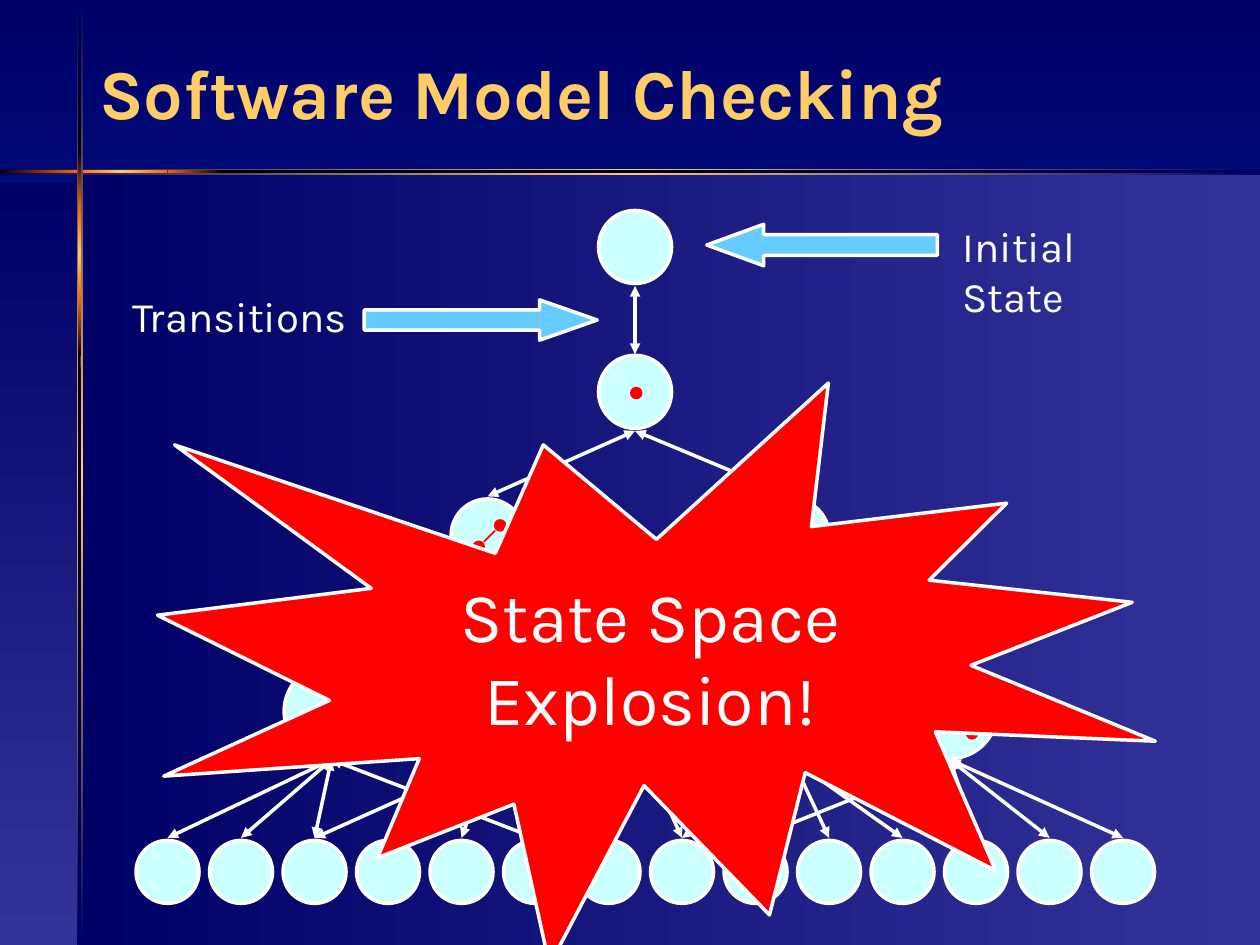
from copy import deepcopy

from lxml import etree
from pptx import Presentation
from pptx.dml.color import RGBColor
from pptx.enum.shapes import MSO_CONNECTOR, MSO_SHAPE
from pptx.enum.text import MSO_ANCHOR, PP_ALIGN
from pptx.oxml.ns import qn
from pptx.util import Inches, Pt

OVAL, RECT = MSO_SHAPE.OVAL, MSO_SHAPE.RECTANGLE
LEFT_ARROW, RIGHT_ARROW = MSO_SHAPE.LEFT_ARROW, MSO_SHAPE.RIGHT_ARROW
BURST = MSO_SHAPE.EXPLOSION1
STRAIGHT = MSO_CONNECTOR.STRAIGHT
LEFT, CENTER = PP_ALIGN.LEFT, PP_ALIGN.CENTER
TOP, MIDDLE = MSO_ANCHOR.TOP, MSO_ANCHOR.MIDDLE

FONT = "Karla"
COLORS = {
    "navy": "000066", "blue": "0033CC", "indigo": "333399", "black": "000000",
    "orange": "FF6600", "gold": "FFCC66", "white": "FFFFFF",
    "state": "CCFFFF", "red": "FF0000", "arrow": "66CCFF",
}
ACROSS, DOWN = 180, 270  # right to left, top to bottom
DOT = 0.1

# left, top, width, height, direction, gradient colours
BACKDROP = [
    (0.62, 1.36, 9.38, 6.14, ACROSS, ("indigo", "navy")),
    (0, 1.45, 0.62, 6.05, DOWN, ("navy", "indigo")),
    (0, 1.34, 10, 0.05, ACROSS, ("navy", "gold", "navy")),
    (1.33, 1.35, 0.44, 0.02, ACROSS, ("black", "orange")),
    (0, 1.35, 0.61, 0.02, ACROSS, ("orange", "black")),
    (1.77, 1.35, 8.23, 0.02, ACROSS, ("navy", "black")),
    (0.6, 1.35, 0.73, 0.02, ACROSS, ("orange", "gold", "orange")),
    (0.61, 0, 0.05, 7.5, DOWN, ("navy", "gold", "navy")),
    (0.62, 1.65, 0.02, 0.73, DOWN, ("orange", "gold", "orange")),
    (0.62, 0.01, 0.02, 1.21, DOWN, ("navy", "black")),
    (0.62, 2.82, 0.02, 4.68, DOWN, ("black", "navy")),
    (0.62, 2.38, 0.02, 0.44, DOWN, ("orange", "black")),
    (0.62, 1.21, 0.02, 0.44, DOWN, ("black", "orange")),
]

# Centre of each state, then its chain of dots as offsets from its corner
ROOT_X = 5.04
MIDDLE_STATES = [
    (3.87, [(0.17, 0.33), (0.34, 0.16)]),
    (6.29, [(0.32, 0.33), (0.17, 0.16)]),
]
LOWER_STATES = [
    (2.63, [(0.5, 0.17), (0.33, 0.33), (0.17, 0.5)]),
    (3.88, [(0.42, 0.17), (0.17, 0.33), (0.32, 0.5)]),
    (5.13, [(0.17, 0.33), (0.33, 0.17), (0.48, 0.33)]),
    (6.29, [(0.25, 0.17), (0.48, 0.33), (0.31, 0.5)]),
    (7.54, [(0.16, 0.17), (0.33, 0.33), (0.5, 0.5)]),
]
LEAF_XS = [1.33 + 7 / 12 * i for i in range(14)]
LOWER_OF_MIDDLE = [(0, 1, 2), (2, 3, 4)]
LEAVES_OF_LOWER = [(0, 1, 2, 5), (2, 3, 4, 6), (5, 6, 7, 8), (7, 9, 10, 11), (8, 11, 12, 13)]


def rgb(name):
    return RGBColor.from_string(COLORS[name])


def paint_gradient(fill, angle, names):
    """Spread the named colours evenly along the given angle."""
    fill.gradient()
    fill.gradient_angle = angle
    first = fill.gradient_stops[0]._gs
    for _ in names[2:]:
        first.addnext(deepcopy(first))
    for i, (stop, name) in enumerate(zip(fill.gradient_stops, names)):
        stop.color.rgb = rgb(name)
        stop.position = i / (len(names) - 1)


def add_figure(slide, preset, left, top, width, height, fill=None, outlined=True):
    figure = slide.shapes.add_shape(
        preset, Inches(left), Inches(top), Inches(width), Inches(height))
    figure.shadow.inherit = False
    if fill:
        figure.fill.solid()
        figure.fill.fore_color.rgb = rgb(fill)
    if outlined:
        figure.line.color.rgb = rgb("white")
        figure.line.width = Pt(2)
    else:
        figure.line.fill.background()
    return figure


def add_line(slide, start, end, color="white", width=2, heads=True):
    line = slide.shapes.add_connector(
        STRAIGHT, *(Inches(value) for value in (*start, *end)))
    line.line.color.rgb = rgb(color)
    line.line.width = Pt(width)
    if heads:
        ln = line.line._get_or_add_ln()
        for tag in ("a:headEnd", "a:tailEnd"):
            etree.SubElement(ln, qn(tag), type="triangle")
    etree.SubElement(line._element.spPr, qn("a:effectLst"))


def write_text(holder, text, *, size=24, color="white", bold=False, align=LEFT,
               anchor=TOP, spacing=None, right_inset=0.1, shadow=False):
    frame = holder.text_frame
    frame.word_wrap = True
    frame.vertical_anchor = anchor
    frame.margin_right = Inches(right_inset)
    paragraph = frame.paragraphs[0]
    paragraph.alignment = align
    paragraph.line_spacing = spacing
    run = paragraph.add_run()
    run.text = text
    run.font.name, run.font.size, run.font.bold = FONT, Pt(size), bold
    run.font.color.rgb = rgb(color)
    if shadow:
        effects = etree.Element(qn("a:effectLst"))
        cast = etree.SubElement(effects, qn("a:outerShdw"), dist="53882", dir="2700000")
        etree.SubElement(cast, qn("a:srgbClr"), val=COLORS["black"])
        run.font._element.find(qn("a:solidFill")).addnext(effects)


def add_label(slide, text, left, top, width, height, **format_options):
    box = slide.shapes.add_textbox(
        Inches(left), Inches(top), Inches(width), Inches(height))
    write_text(box, text, **format_options)


def add_state(slide, center_x, top, size, dots=()):
    """Draw a state circle holding a chain of linked red dots."""
    left = center_x - size / 2
    add_figure(slide, OVAL, left, top, size, size, "state")
    centers = [(left + x + DOT / 2, top + y + DOT / 2) for x, y in dots]
    for x, y in centers:
        add_figure(slide, OVAL, x - DOT / 2, y - DOT / 2, DOT, DOT, "red", outlined=False)
    for (x1, y1), (x2, y2) in zip(centers, centers[1:]):
        dx = 0.04 if x2 > x1 else -0.04
        dy = 0.04 if y2 > y1 else -0.04
        add_line(slide, (x1 + dx, y1 + dy), (x2 - dx, y2 - dy), "red", 1, heads=False)


def add_transitions(slide, parents, parent_y, children, child_y, links):
    for parent_x, targets in zip(parents, links):
        for target in targets:
            add_line(slide, (parent_x, parent_y), (children[target], child_y))


def add_block_arrow(slide, preset, left, top, width, height, head):
    arrow = add_figure(slide, preset, left, top, width, height, "arrow")
    arrow.adjustments[0], arrow.adjustments[1] = 0.5, head


def add_backdrop(slide):
    paint_gradient(slide.background.fill, DOWN, ("navy", "blue"))
    for left, top, width, height, angle, names in BACKDROP:
        band = add_figure(slide, RECT, left, top, width, height, outlined=False)
        paint_gradient(band.fill, angle, names)


def add_state_tree(slide):
    middle_xs = [x for x, _ in MIDDLE_STATES]
    lower_xs = [x for x, _ in LOWER_STATES]
    add_transitions(slide, [ROOT_X], 3.42, middle_xs, 3.94, [(0, 1)])
    for x, dots in MIDDLE_STATES:
        add_state(slide, x, 3.96, 0.58, dots)
    for x, dots in LOWER_STATES:
        add_state(slide, x, 5.27, 0.75, dots)
    for x in LEAF_XS:
        add_state(slide, x, 6.67, 0.5)
    add_transitions(slide, middle_xs, 4.56, lower_xs, 5.26, LOWER_OF_MIDDLE)
    add_transitions(slide, lower_xs, 6.03, LEAF_XS, 6.65, LEAVES_OF_LOWER)
    add_state(slide, ROOT_X, 2.82, 0.58, [(0.25, 0.25)])
    add_state(slide, ROOT_X, 1.67, 0.58)
    add_line(slide, (ROOT_X, 2.27), (ROOT_X, 2.81))


def main():
    deck = Presentation()
    deck.slide_width, deck.slide_height = Inches(10), Inches(7.5)
    slide = deck.slides.add_slide(deck.slide_layouts[6])
    add_backdrop(slide)
    add_label(slide, "Software Model Checking", 0.69, 0.22, 9.14, 1.09, size=40,
              color="gold", bold=True, anchor=MIDDLE, spacing=0.9, shadow=True)
    add_state_tree(slide)
    add_label(slide, "Initial State", 7.54, 1.7, 1.97, 0.5, right_inset=0.4)
    add_block_arrow(slide, LEFT_ARROW, 5.61, 1.78, 1.83, 0.33, 1.37)
    explosion = add_figure(slide, BURST, 1.25, 3.04, 7.92, 4.62, "red")
    write_text(explosion, "State Space Explosion!", size=40, align=CENTER, anchor=MIDDLE)
    add_label(slide, "Transitions", 0.95, 2.26, 1.93, 0.5)
    add_block_arrow(slide, RIGHT_ARROW, 2.89, 2.38, 1.85, 0.32, 1.43)
    deck.save("out.pptx")


if __name__ == "__main__":
    main()
